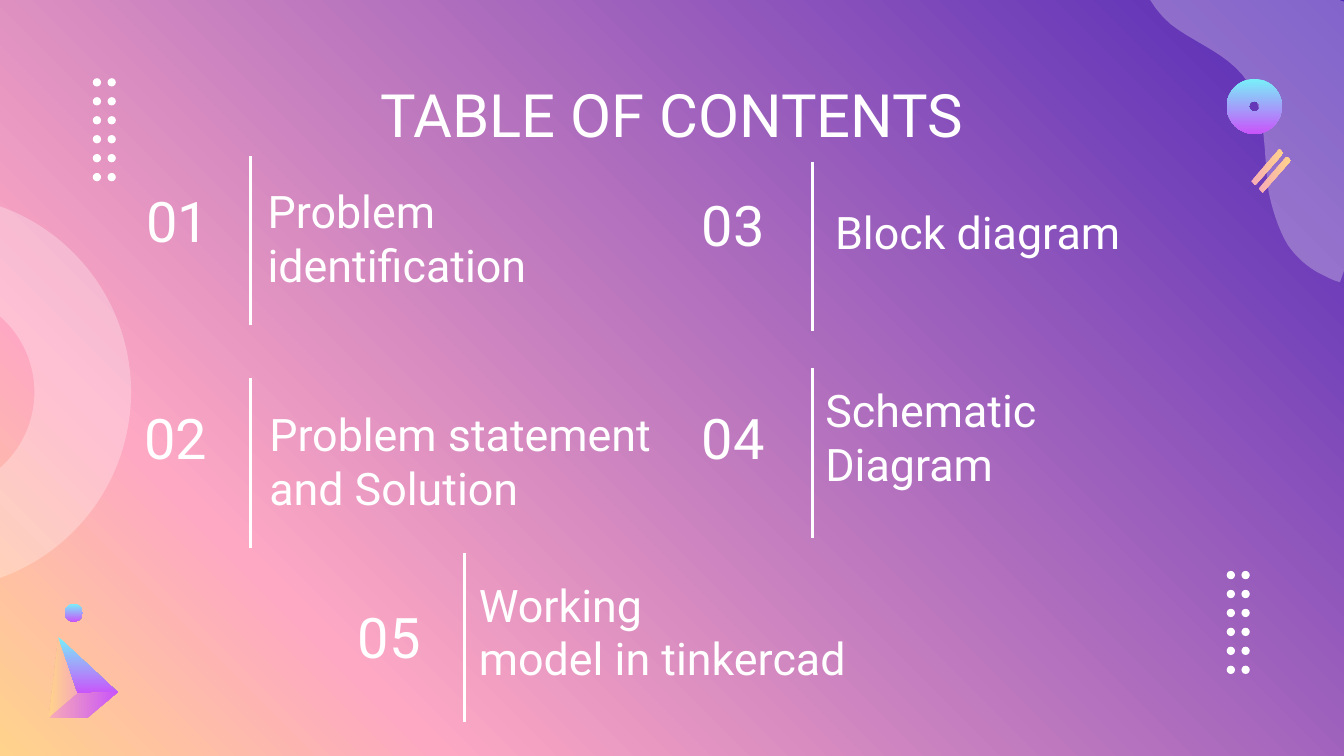
from copy import deepcopy
from itertools import product

from pptx import Presentation
from pptx.dml.color import RGBColor as RGB
from pptx.enum.shapes import MSO_CONNECTOR as Link, MSO_SHAPE as Kind
from pptx.enum.text import MSO_ANCHOR as Anchor, PP_ALIGN as Align
from pptx.oxml.ns import qn
from pptx.util import Inches, Pt

COLORS = {
    "white": "FFFFFF", "violet": "5229B7", "pink": "FEA8C3", "sand": "FFD38B",
    "rose": "F7ABB7", "aqua": "78F0F9", "purple": "C954FA",
}
FONT = "Roboto"
WARM = ((0, "rose"), (100, "sand"))
COOL = ((0, "aqua"), (100, "purple"))
DUSK = ((0, "rose"), (100, "purple"))


def curve(start, *arcs, steps=10):
    """Points along a chain of cubic curves."""
    points = [start]
    for b, c, d in arcs:
        a = points[-1]
        for i in range(1, steps + 1):
            t = i / steps
            u = 1 - t
            mix = (u ** 3, 3 * u * u * t, 3 * u * t * t, t ** 3)
            points.append(tuple(sum(m * p[k] for m, p in zip(mix, (a, b, c, d)))
                                for k in (0, 1)))
    return points


def bind(*words):
    """Words held on one line by no-break spaces."""
    return chr(160).join(words)


class Deck:
    """Style and current slide; lengths are cells of a grid 100 columns wide."""

    def __init__(self):
        self.prs = Presentation()
        self.prs.slide_width = Inches(10)
        self.prs.slide_height = Inches(10) * 9 // 16
        self.cell = self.prs.slide_width / 100
        self.slide = self.prs.slides.add_slide(self.prs.slide_layouts[6])
        self.shapes = self.slide.shapes

    def grid(self, *cells):
        return [round(c * self.cell) for c in cells]

    def blend(self, fill, owner, stops, angle):
        fill.gradient()
        fill.gradient_angle = (360 - angle) % 360
        marks = owner.xpath(".//a:gsLst")[0]
        for _ in stops[2:]:
            marks.append(deepcopy(marks[-1]))
        for mark, (place, name) in zip(fill.gradient_stops, stops):
            mark.color.rgb = RGB.from_string(COLORS[name])
            mark.position = place / 100

    def paint(self, shape, look, angle=0, alpha=100):
        shape.shadow.inherit = False
        shape.line.fill.background()
        if isinstance(look, tuple):
            self.blend(shape.fill, shape.element, look, angle)
            return
        shape.fill.solid()
        shape.fill.fore_color.rgb = RGB.from_string(COLORS[look])
        if alpha < 100:
            color = shape.element.spPr.find(".//" + qn("a:srgbClr"))
            color.append(color.makeelement(qn("a:alpha"),
                                           {"val": str(alpha * 1000)}))

    def text(self, words, box, size, align=Align.LEFT):
        frame = self.shapes.add_textbox(*self.grid(*box)).text_frame
        frame.word_wrap = True
        frame.vertical_anchor = Anchor.MIDDLE
        frame.margin_left = frame.margin_right = Inches(0.1)
        frame.margin_top = frame.margin_bottom = Inches(0.1)
        para = frame.paragraphs[0]
        para.text, para.alignment = words, align
        para.font.name, para.font.size = FONT, Pt(size)
        para.font.color.rgb = RGB.from_string(COLORS["white"])

    def rule(self, x, y, height):
        line = self.shapes.add_connector(
            Link.STRAIGHT, *self.grid(x, y, x, y + height))
        line.line.color.rgb = RGB.from_string(COLORS["white"])
        line.line.width = Pt(1.5)
        props = line.element.spPr
        props.append(props.makeelement(qn("a:effectLst"), {}))

    def round(self, x, y, size, look, band=None, **style):
        """A disc, or a ring when a band (share of the size) is given."""
        kind = Kind.DONUT if band else Kind.OVAL
        shape = self.shapes.add_shape(kind, *self.grid(x, y, size, size))
        if band:
            shape.adjustments[0] = band
        self.paint(shape, look, **style)

    def free(self, points, look, **style):
        spots = [self.grid(*p) for p in points]
        pen = self.shapes.build_freeform(*spots[0])
        pen.add_line_segments(spots[1:], close=True)
        self.paint(pen.convert_to_shape(), look, **style)

    def dots(self, x, y):
        for col, row in product(range(2), range(6)):
            self.round(x + 1.1 * col, y + 1.41 * row, 0.62, "white")


def main():
    deck = Deck()

    # Background with ring and wave
    deck.blend(deck.slide.background.fill, deck.slide.element,
               ((0, "violet"), (79, "pink"), (100, "sand")), 135)
    deck.round(-19.6, 14.5, 29.35, "white", band=0.245, alpha=28)
    wave = curve((84.6, -5.2),
                 ((84.1, -2.7), (85.1, 0.1), (87.1, 1.8)),
                 ((89, 3.3), (91.5, 4), (92.9, 6.2)),
                 ((94.3, 8.6), (94, 11.6), (94.4, 14.3)),
                 ((94.7, 15.7), (95.1, 17), (95.8, 18.2)),
                 ((96.5, 19.2), (97.4, 20), (98.5, 20.5)),
                 ((98.9, 20.7), (99.3, 20.9), (99.7, 21)))
    deck.free(wave + [(106.3, 2.3)], "white", alpha=28)

    # Title
    deck.text("TABLE OF CONTENTS", (7.85, 5.8, 84.3, 5.3), 32, Align.CENTER)

    # Entries: number and its corner, rule's corner, label and its box
    entries = (
        ("01", (9.9, 13.5), (18.65, 11.6),
         "Problem identification", (18.93, 11.4, 29.4, 12.5)),
        ("02", (9.75, 29.6), (18.65, 28.15),
         "Problem statement and Solution", (19.05, 28.65, 31.1, 11.2)),
        ("03", (51.23, 13.8), (60.43, 12.05),
         "Block diagram", (61.15, 13.5, 28.6, 7.5)),
        ("04", (51.23, 29.6), (60.45, 27.4),
         "Schematic Diagram", (60.43, 29.43, 29.3, 6.1)),
        ("05", (25.63, 44.4), (34.57, 41.15),
         "Working " + bind("model", "in", "tinkercad"),
         (34.65, 41.9, 36.4, 10.1)),
    )
    for number, spot, top, label, box in entries:
        deck.text(number, (*spot, 8.9, 5.8), 30)
        deck.rule(*top, 12.6)
        deck.text(label, box, 24)

    # Dot grids
    deck.dots(6.9, 5.82)
    deck.dots(91.27, 42.48)

    # Paper dart and bead
    tip, fold, nose, tail = (4.35, 47.4), (5.8, 51.6), (8.75, 51.5), (3.65, 53.4)
    deck.free((tail, fold, tip), WARM, angle=180)
    deck.free((tip, fold, nose), COOL, angle=90)
    deck.free((nose, fold, tail, (6.5, 53.4)), DUSK)
    deck.round(4.82, 44.92, 1.35, COOL, angle=90)

    # Disc and slanted bars
    deck.round(91.28, 5.87, 4.1, COOL, band=0.4, angle=90)
    bar = ((93.1, 13.5), (95.2, 11.1), (95.5, 11.4), (93.4, 13.8))
    for shift in (0, 0.55):
        deck.free([(x + shift, y + shift) for x, y in bar], WARM)

    deck.prs.save("out.pptx")


if __name__ == "__main__":
    main()
